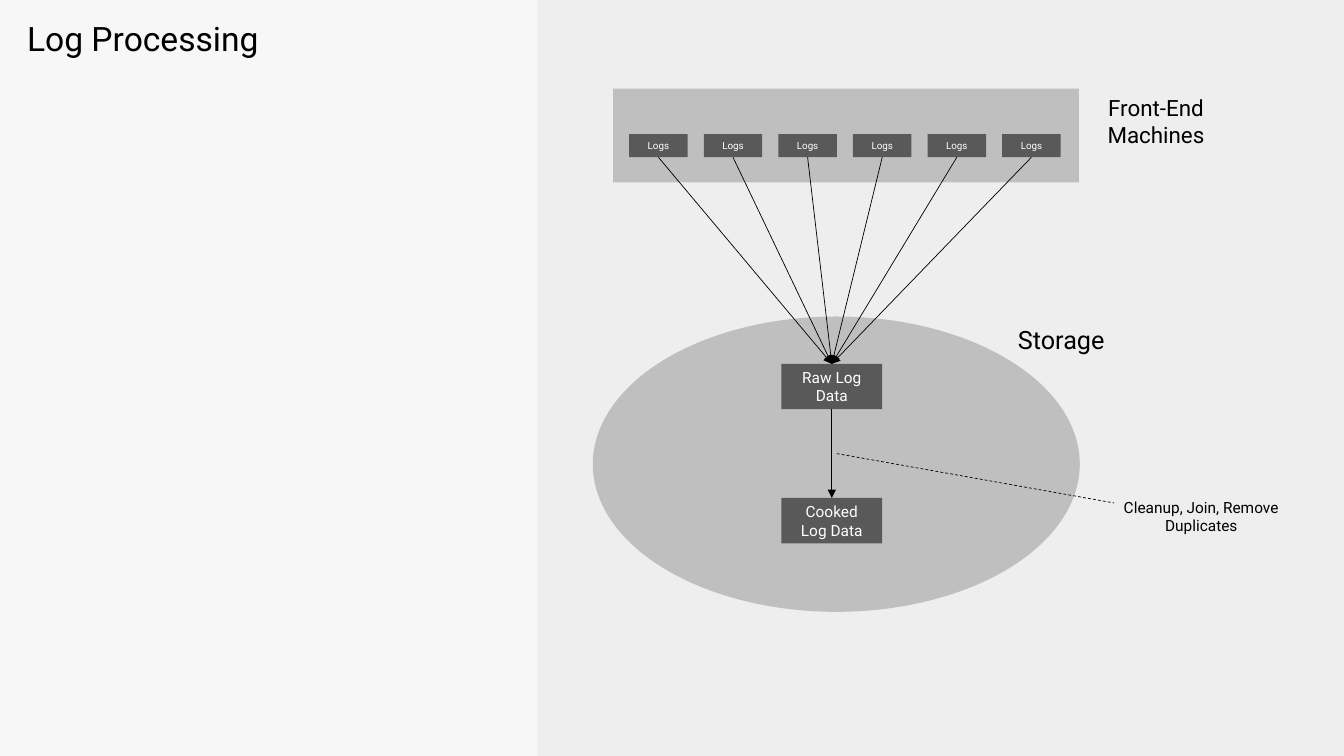
from lxml import etree
from pptx import Presentation
from pptx.dml.color import RGBColor
from pptx.enum.dml import MSO_LINE
from pptx.enum.shapes import MSO_CONNECTOR, MSO_SHAPE
from pptx.enum.text import MSO_ANCHOR, PP_ALIGN
from pptx.oxml.ns import qn
from pptx.util import Inches, Pt

RECTANGLE, OVAL = MSO_SHAPE.RECTANGLE, MSO_SHAPE.OVAL
STRAIGHT = MSO_CONNECTOR.STRAIGHT
DASH = MSO_LINE.DASH
TOP, MIDDLE = MSO_ANCHOR.TOP, MSO_ANCHOR.MIDDLE
LEFT, CENTER = PP_ALIGN.LEFT, PP_ALIGN.CENTER
SIDE_TOP, SIDE_BOTTOM = 0, 2

FONT = "Roboto"
BACKGROUND, PANEL, GROUP, NODE = "F7F7F7", "EEEEEE", "BFBFBF", "595959"
BLACK, WHITE = "000000", "FFFFFF"

LOG_COUNT = 6
LOG_LEFT, LOG_STEP = 6.24, 0.74


def paint(fill, color):
    fill.solid()
    fill.fore_color.rgb = RGBColor.from_string(color)


def write(shape, text, size, color, align=CENTER, anchor=MIDDLE):
    frame = shape.text_frame
    frame.word_wrap = True
    frame.vertical_anchor = anchor
    frame.text = text
    para = frame.paragraphs[0]
    para.alignment = align
    font = para.runs[0].font
    font.name = FONT
    font.size = Pt(size)
    paint(font.fill, color)
    return para


def add_area(page, kind, left, top, width, height, color):
    area = page.shapes.add_shape(
        kind, Inches(left), Inches(top), Inches(width), Inches(height))
    area.shadow.inherit = False
    paint(area.fill, color)
    area.line.fill.background()
    return area


def add_node(page, text, left, top, width, height, size):
    node = add_area(page, RECTANGLE, left, top, width, height, NODE)
    write(node, text, size, WHITE)
    return node


def add_label(page, text, left, top, width, height, size, **layout):
    box = page.shapes.add_textbox(
        Inches(left), Inches(top), Inches(width), Inches(height))
    return write(box, text, size, BLACK, **layout)


def add_line(page, start=(0, 0), end=(0, 0)):
    line = page.shapes.add_connector(
        STRAIGHT, *(Inches(value) for value in (*start, *end)))
    paint(line.line.fill, BLACK)
    line.line.width = Pt(0.5)
    etree.SubElement(line._element.spPr, qn("a:effectLst"))
    return line


def add_arrow(page, source, target):
    arrow = add_line(page)
    arrow.begin_connect(source, SIDE_BOTTOM)
    arrow.end_connect(target, SIDE_TOP)
    etree.SubElement(arrow.line._get_or_add_ln(), qn("a:tailEnd"), type="triangle")


def main():
    deck = Presentation()
    deck.slide_width, deck.slide_height = Inches(13.33), Inches(7.5)
    page = deck.slides.add_slide(deck.slide_layouts[6])
    paint(page.background.fill, BACKGROUND)

    # Panel and title
    add_area(page, RECTANGLE, 5.33, 0, 8, 7.5, PANEL)
    title = add_label(page, "Log Processing", 0.17, 0.17, 4.92, 7.17, 24,
                      align=LEFT, anchor=TOP)
    title.line_spacing = 0.9

    # Storage system and front-end machines
    add_area(page, OVAL, 5.88, 3.14, 4.83, 2.93, GROUP)
    add_area(page, RECTANGLE, 6.08, 0.88, 4.62, 0.93, GROUP)
    add_label(page, "Front-End Machines", 10.71, 0.99, 1.51, 0.42, 16)
    add_label(page, "Storage", 9.77, 3.16, 1.51, 0.42, 18)

    # Log data nodes
    raw = add_node(page, "Raw Log Data", 7.75, 3.61, 1, 0.45, 11)
    cooked = add_node(page, "Cooked Log Data", 7.75, 4.94, 1, 0.45, 11)
    logs = [add_node(page, "Logs", LOG_LEFT + index * LOG_STEP, 1.33, 0.58, 0.23, 7)
            for index in range(LOG_COUNT)]

    # Data flow
    add_arrow(page, raw, cooked)
    for log in logs:
        add_arrow(page, log, raw)

    # Note on the cleanup step
    leader = add_line(page, (8.3, 4.5), (11.05, 4.99))
    leader.line.dash_style = DASH
    add_label(page, "Cleanup, Join, Remove Duplicates", 10.8, 4.91, 2.23, 0.42, 11)

    deck.save("out.pptx")


if __name__ == "__main__":
    main()
